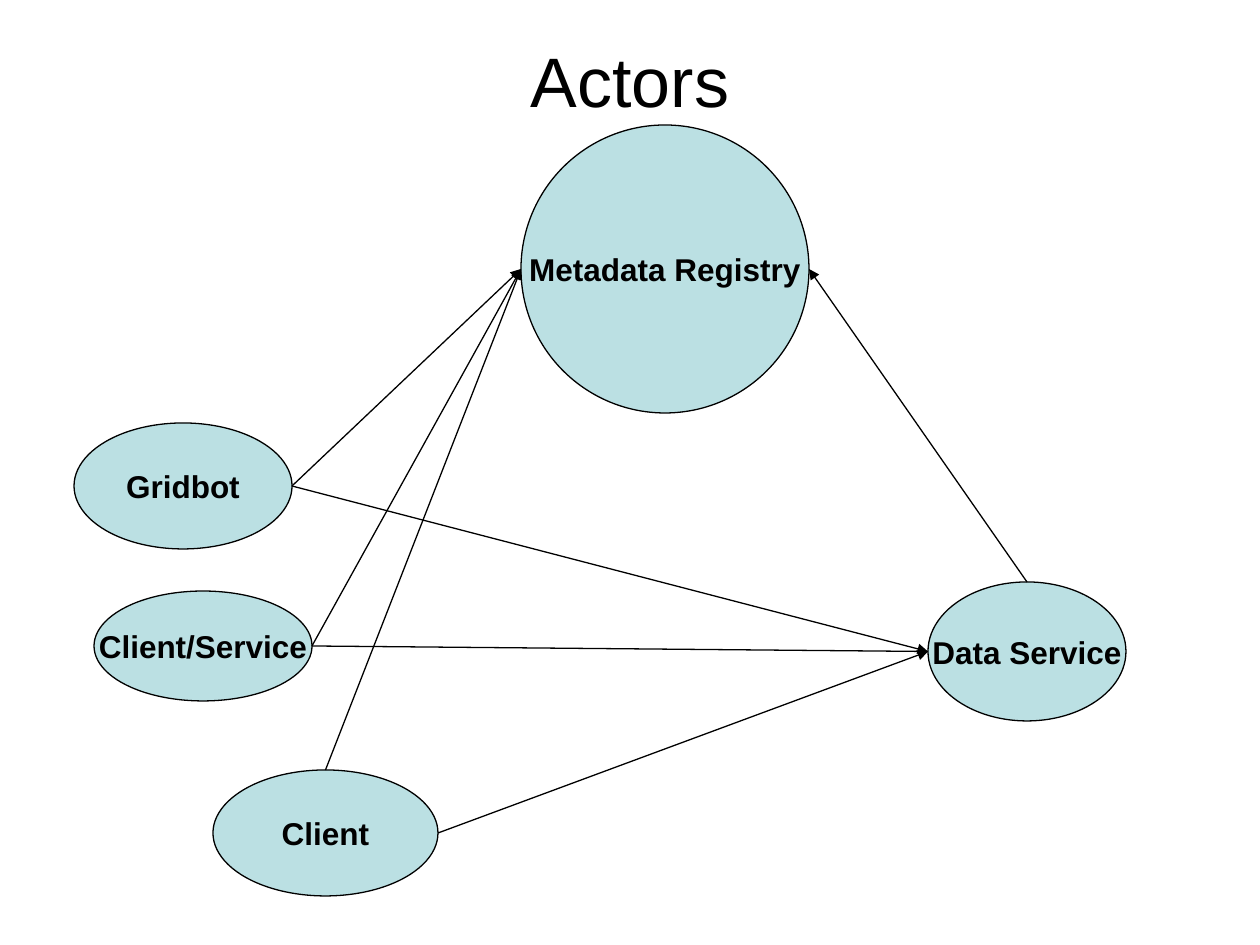
import pptx
import pptx.dml.color
import pptx.enum.shapes
import pptx.enum.text
import pptx.oxml
import pptx.oxml.ns
import pptx.util

PX = 914400 / 126
BLACK = pptx.dml.color.RGBColor(0x00, 0x00, 0x00)
PALE_TEAL = pptx.dml.color.RGBColor(0xBB, 0xE0, 0xE3)
MIDDLE = pptx.enum.text.MSO_ANCHOR.MIDDLE
TOP = pptx.enum.text.MSO_ANCHOR.TOP


def emu(px):
    return pptx.util.Emu(round(px * PX))


def write(frame, text, size, bold=False, anchor=MIDDLE, wrap=False):
    """Put one centred line of text into a frame."""
    frame.word_wrap = wrap
    frame.vertical_anchor = anchor
    para = frame.paragraphs[0]
    para.alignment = pptx.enum.text.PP_ALIGN.CENTER
    span = para.add_run()
    span.text = text
    span.font.name = "Arial"
    span.font.size = pptx.util.Pt(size)
    span.font.bold = bold
    span.font.color.rgb = BLACK


def side(shape, name):
    """Return the middle of one side of a shape."""
    across, down = {"top": (0.5, 0), "left": (0, 0.5), "right": (1, 0.5)}[name]
    return (round(shape.left + across * shape.width),
            round(shape.top + down * shape.height))


class Diagram:
    line_width = pptx.util.Pt(0.75)

    def __init__(self, page):
        self.page = page

    def title(self, text, left, top, width, height):
        box = self.page.shapes.add_textbox(emu(left), emu(top), emu(width), emu(height))
        box.text_frame.margin_top = 0
        write(box.text_frame, text, 40, anchor=TOP, wrap=True)

    def actor(self, text, left, top, width, height):
        shape = self.page.shapes.add_shape(
            pptx.enum.shapes.MSO_SHAPE.OVAL,
            emu(left), emu(top), emu(width), emu(height))
        shape.shadow.inherit = False
        shape.fill.solid()
        shape.fill.fore_color.rgb = PALE_TEAL
        shape.line.color.rgb = BLACK
        shape.line.width = self.line_width
        write(shape.text_frame, text, 18, bold=True)
        return shape

    def link(self, start, end, arrow=True):
        line = self.page.shapes.add_connector(
            pptx.enum.shapes.MSO_CONNECTOR.STRAIGHT, *start, *end)
        line.line.color.rgb = BLACK
        line.line.width = self.line_width
        if arrow:
            head = pptx.oxml.parse_xml(
                f'<a:tailEnd {pptx.oxml.ns.nsdecls("a")} type="triangle"/>')
            line.line._get_or_add_ln().append(head)
        line._element.spPr.append(pptx.oxml.parse_xml(
            f'<a:effectLst {pptx.oxml.ns.nsdecls("a")}/>'))


def main():
    deck = pptx.Presentation()
    deck.slide_width = pptx.util.Inches(10)
    deck.slide_height = pptx.util.Inches(7.5)
    diagram = Diagram(deck.slides.add_slide(deck.slide_layouts[6]))

    diagram.title("Actors", 63, 38, 1134, 158)

    # Actors
    registry = diagram.actor("Metadata Registry", 521, 125, 288, 288)
    data_service = diagram.actor("Data Service", 928, 582, 198, 139)
    gridbot = diagram.actor("Gridbot", 74, 423, 218, 126)
    client_service = diagram.actor("Client/Service", 94, 591, 218, 110)
    client = diagram.actor("Client", 213, 770, 225, 126)

    # Links to the registry
    for actor, start in ((gridbot, "right"), (client_service, "right"), (client, "top")):
        diagram.link(side(actor, start), side(registry, "left"))
    diagram.link(side(data_service, "top"), side(registry, "right"))

    # Links to the data service
    for actor in (gridbot, client_service, client):
        diagram.link(side(actor, "right"), side(data_service, "left"),
                     arrow=actor is not client_service)

    deck.save("out.pptx")


if __name__ == "__main__":
    main()
